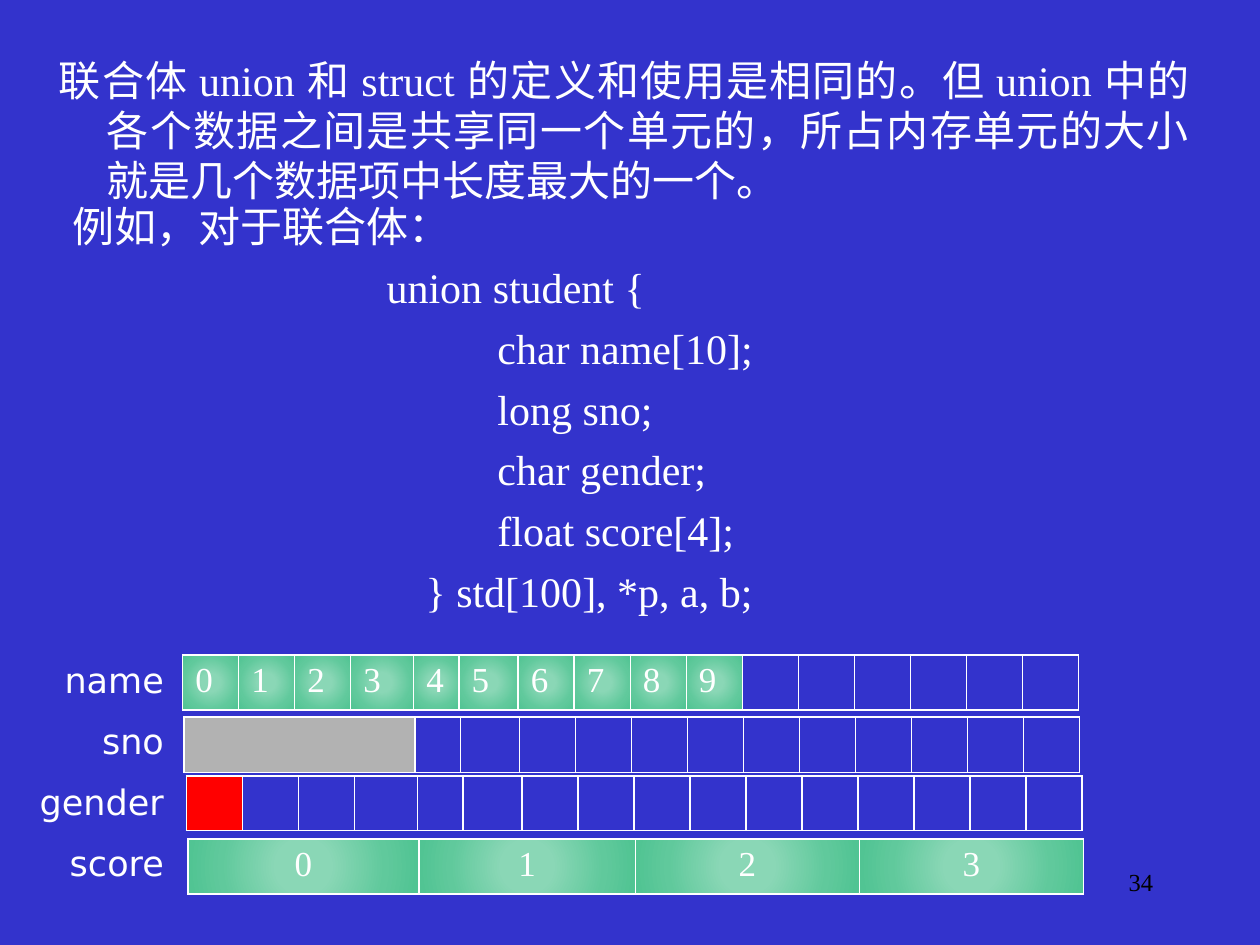
from dataclasses import dataclass

from lxml.etree import SubElement
from pptx import Presentation
from pptx.dml.color import RGBColor
from pptx.enum.text import PP_ALIGN
from pptx.oxml import parse_xml
from pptx.oxml.ns import nsdecls, qn
from pptx.util import Inches, Pt

BLUE = RGBColor(0x33, 0x33, 0xCC)
WHITE = RGBColor(0xFF, 0xFF, 0xFF)
BLACK = RGBColor(0x00, 0x00, 0x00)
GRAY = RGBColor(0xB2, 0xB2, 0xB2)
RED = RGBColor(0xFF, 0x00, 0x00)
GREEN_STOPS = [
    (0, RGBColor(0x8A, 0xD7, 0xB6)),
    (23, RGBColor(0x8A, 0xD7, 0xB6)),
    (69, RGBColor(0x60, 0xC9, 0x9C)),
    (97, RGBColor(0x51, 0xC4, 0x93)),
]
SERIF, SANS = "Times New Roman", "DejaVu Sans"

# Byte widths: three columns are uneven, the rest share what is left
ROW_WIDTH = 7.11
UNEVEN = {3: 0.5, 4: 0.36, 5: 0.47}
BYTE = (ROW_WIDTH - sum(UNEVEN.values())) / (16 - len(UNEVEN))
BYTES = [UNEVEN.get(i, BYTE) for i in range(16)]


@dataclass
class Line:
    text: str
    left: float = 0
    first: float = 0


@dataclass
class MemoryRow:
    x: float
    y: float
    height: float
    spans: list[int]  # bytes in each cell
    used: int  # cells filled from the left
    fill: RGBColor | None = None  # None means the green gradient
    numbered: bool = False
    align: PP_ALIGN = PP_ALIGN.LEFT


def write(p, text: str, *, size=24, font=SERIF, color=WHITE,
          align=PP_ALIGN.LEFT, before=0, left=0, first=0) -> None:
    p.alignment = align
    p.space_before = Pt(before)
    pPr = p._p.get_or_add_pPr()
    pPr.set("marL", str(Inches(left)))
    pPr.set("indent", str(Inches(first)))
    r = p.add_run()
    r.text = text
    r.font.size = Pt(size)
    r.font.name = font
    r.font.color.rgb = color


def add_text(slide, x: float, y: float, w: float, h: float,
             lines: list[Line], before=0, **fmt) -> None:
    tf = slide.shapes.add_textbox(Inches(x), Inches(y), Inches(w), Inches(h)).text_frame
    tf.word_wrap = True
    for i, line in enumerate(lines):
        p = tf.add_paragraph() if i else tf.paragraphs[0]
        write(p, line.text, left=line.left, first=line.first,
              before=before if i else 0, **fmt)


def set_borders(cell) -> None:
    tcPr = cell._tc.get_or_add_tcPr()
    for side in ("lnL", "lnR", "lnT", "lnB"):
        ln = SubElement(tcPr, qn(f"a:{side}"), w=str(Pt(1)))
        fill = SubElement(ln, qn("a:solidFill"))
        SubElement(fill, qn("a:srgbClr"), val=str(WHITE))


def set_green(cell) -> None:
    stops = "".join(f'<a:gs pos="{pos * 1000}"><a:srgbClr val="{color}"/></a:gs>'
                    for pos, color in GREEN_STOPS)
    cell._tc.get_or_add_tcPr().append(parse_xml(
        f'<a:gradFill {nsdecls("a")}><a:gsLst>{stops}</a:gsLst><a:path path="circle">'
        '<a:fillToRect l="50000" t="50000" r="50000" b="50000"/></a:path></a:gradFill>'))


def add_memory_row(slide, row: MemoryRow) -> None:
    table = slide.shapes.add_table(
        1, len(row.spans), Inches(row.x), Inches(row.y),
        Inches(ROW_WIDTH), Inches(row.height)).table
    table.first_row = table.horz_banding = False
    start = 0
    for i, span in enumerate(row.spans):
        table.columns[i].width = Inches(sum(BYTES[start:start + span]))
        start += span
        cell = table.cell(0, i)
        set_borders(cell)
        if i >= row.used:
            cell.fill.background()
        elif row.fill is None:
            set_green(cell)
        else:
            cell.fill.solid()
            cell.fill.fore_color.rgb = row.fill
        if row.numbered and i < row.used:
            write(cell.text_frame.paragraphs[0], str(i), size=20, align=row.align)


INTRO = [Line("联合体 union 和 struct 的定义和使用是相同的。但 union 中的各个数据之间"
              "是共享同一个单元的，所占内存单元的大小就是几个数据项中长度最大的一个。",
              left=0.38, first=-0.38)]
MEMBERS = ["char name[10];", "long sno;", "char gender;", "float score[4];"]
CODE = [
    Line("例如，对于联合体："),
    Line("union student {", left=2.49),
    *[Line(member, left=3.37) for member in MEMBERS],
    Line("} std[100], *p, a, b;", left=2.8),
]
LABELS = [Line(name) for name in ("name", "sno", "gender", "score")]
ROWS = [
    MemoryRow(1.45, 5.2, 0.43, [1] * 16, used=10, numbered=True),
    MemoryRow(1.46, 5.69, 0.44, [4] + [1] * 12, used=1, fill=GRAY),
    MemoryRow(1.48, 6.16, 0.43, [1] * 16, used=1, fill=RED),
    MemoryRow(1.49, 6.66, 0.43, [4] * 4, used=4, numbered=True, align=PP_ALIGN.CENTER),
]


def main() -> None:
    prs = Presentation()
    prs.slide_width, prs.slide_height = Inches(10), Inches(7.5)
    slide = prs.slides.add_slide(prs.slide_layouts[6])
    slide.background.fill.solid()
    slide.background.fill.fore_color.rgb = BLUE

    # Explanation and union definition
    add_text(slide, 0.37, 0.38, 9.17, 1.29, INTRO, align=PP_ALIGN.JUSTIFY)
    add_text(slide, 0.48, 1.54, 9.17, 3.41, CODE, before=6)

    # Memory layout of each member
    add_text(slide, 0.07, 5.18, 1.33, 1.95, LABELS, before=10.7,
             size=20, font=SANS, align=PP_ALIGN.RIGHT)
    for row in ROWS:
        add_memory_row(slide, row)

    # Slide number
    add_text(slide, 7.17, 6.83, 2.08, 0.5, [Line("34")],
             size=14, color=BLACK, align=PP_ALIGN.RIGHT)

    prs.save("out.pptx")


if __name__ == "__main__":
    main()
